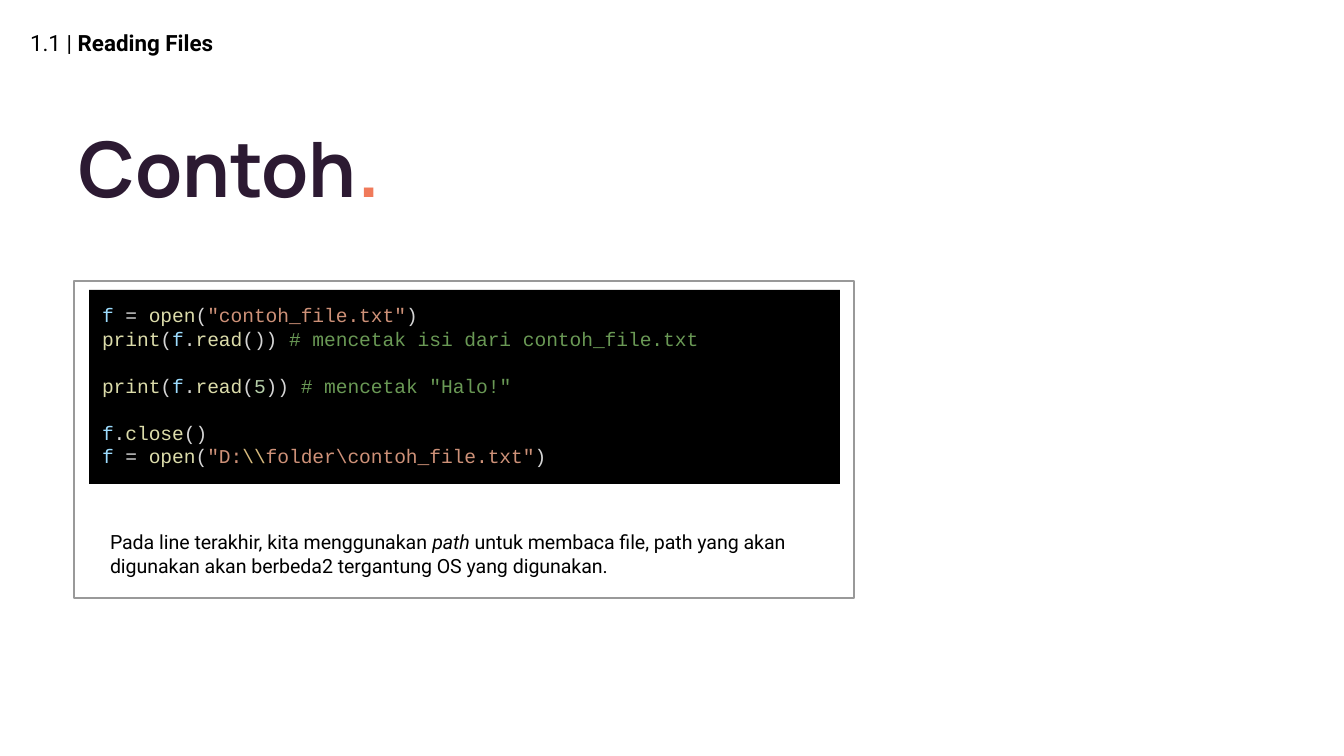
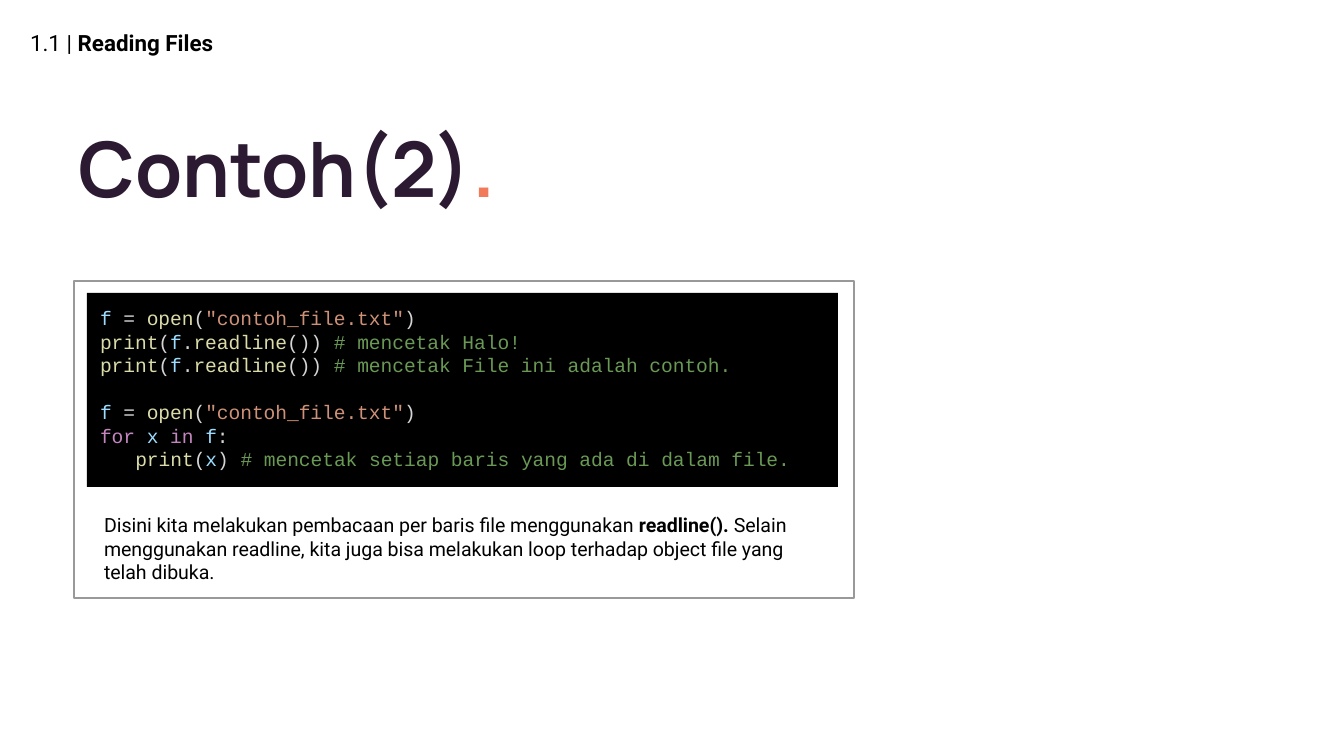
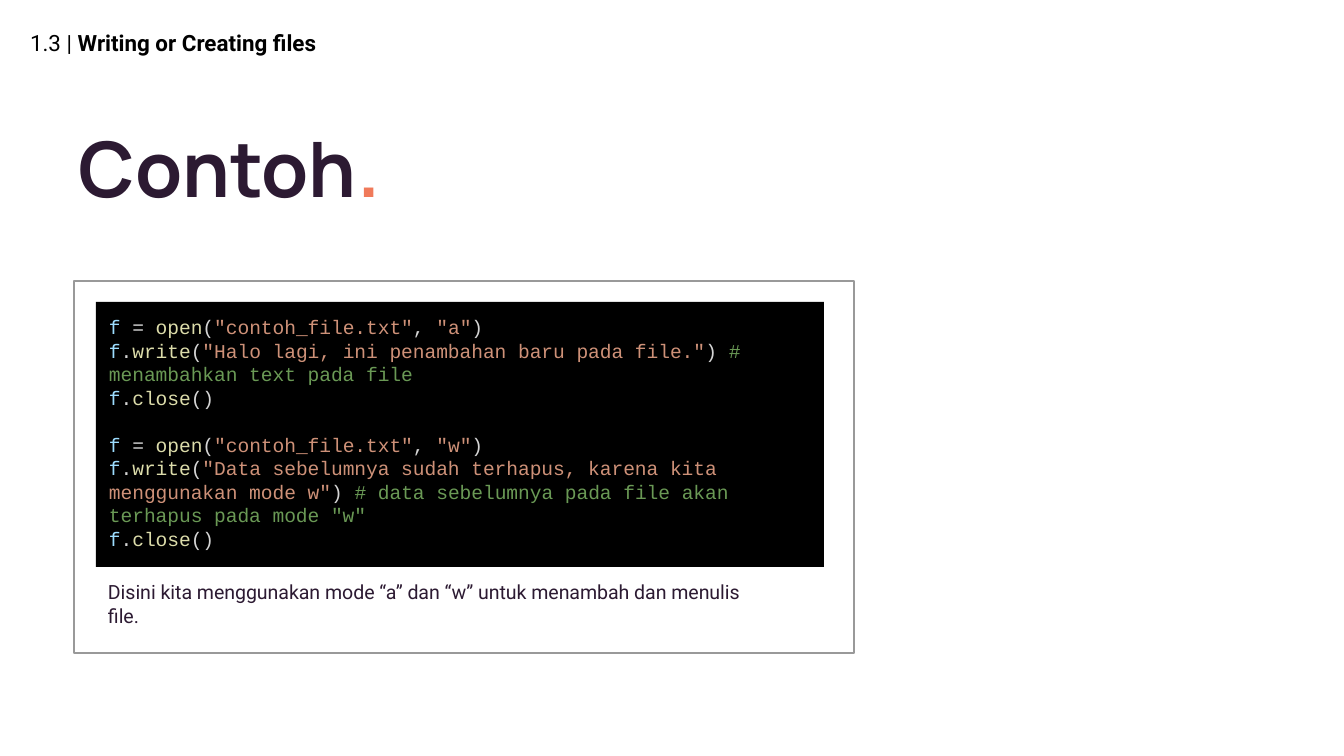
import pptx
import pptx.dml.color
import pptx.enum.shapes
import pptx.enum.text
import pptx.util

PX = 914400 / 134.4
COLOURS = {
    "page": "FFFFFF", "black": "000000", "ink": "2C1A32", "accent": "F07A5A",
    "border": "999999", "plain": "D4D4D4", "name": "9CDCFE", "call": "DCDCAA",
    "string": "CE9178", "escape": "D7BA7D", "comment": "6A9955",
    "number": "B5CEA8", "keyword": "C586C0",
}

# Shared places and text styles
HEADER_BOX = (17, 9, 613, 67)
TITLE_BOX = (66, 70, 1021, 211)
INSET = 13
LINE = pptx.util.Pt(12.6)
INDENT = pptx.util.Pt(18.9)
HEADER = {"name": "Roboto", "size": pptx.util.Pt(12), "bold": False}
TITLE = {"name": "Manrope", "size": pptx.util.Pt(41), "bold": True}
CODE = {"name": "Courier New", "size": pptx.util.Pt(10.5)}
CAPTION = {"name": "Roboto", "size": pptx.util.Pt(10.5)}

KEYWORDS = {"for", "in"}
NAMES = {"f", "x"}
CALLS = {"open", "print", "read", "readline", "write", "close"}

# In code, "|" parts the coloured tokens
SLIDES = [
    {
        "header": ("1.1 |", " Reading Files"),
        "title": "Contoh",
        "card": (74, 281, 780, 317),
        "code_box": (15, 9, 751, 194),
        "code": r'''
f| = |open|(|"contoh_file.txt"|)
print|(|f|.|read|()) |# mencetak isi dari contoh_file.txt

print|(|f|.|read|(|5|)) |# mencetak "Halo!"

f|.|close|()
f| = |open|(|"D:|\\|folder\contoh_file.txt"|)
''',
        "caption_box": (23, 236, 742, 75),
        "caption_colour": "black",
        "caption": [
            ("Pada line terakhir, kita menggunakan ", {}),
            ("path", {"italic": True}),
            (" untuk membaca file, path yang akan digunakan akan berbeda2 "
             "tergantung OS yang digunakan.", {}),
        ],
    },
    {
        "header": ("1.1 |", " Reading Files"),
        "title": "Contoh(2)",
        "card": (74, 281, 780, 317),
        "code_box": (13, 12, 751, 194),
        "code": r'''
f| = |open|(|"contoh_file.txt"|)
print|(|f|.|readline|()) |# mencetak Halo!
print|(|f|.|readline|()) |# mencetak File ini adalah contoh.

f| = |open|(|"contoh_file.txt"|)
for| |x| |in| |f|:
   print|(|x|) |# mencetak setiap baris yang ada di dalam file.
''',
        "caption_box": (17, 219, 742, 98),
        "caption_colour": "black",
        "caption": [
            ("Disini kita melakukan pembacaan per baris file menggunakan ", {}),
            ("readline(). ", {"bold": True}),
            ("Selain menggunakan readline, kita juga bisa melakukan loop "
             "terhadap object file yang telah dibuka.", {}),
        ],
    },
    {
        "header": ("1.3 |", " Writing or Creating files"),
        "title": "Contoh",
        "card": (74, 281, 780, 372),
        "code_box": (22, 21, 728, 265),
        "code": r'''
f| = |open|(|"contoh_file.txt"|, |"a"|)
f|.|write|(|"Halo lagi, ini penambahan baru pada file."|) |# menambahkan text pada file
f|.|close|()

f| = |open|(|"contoh_file.txt"|, |"w"|)
f|.|write|(|"Data sebelumnya sudah terhapus, karena kita menggunakan mode w"|) |# data sebelumnya pada file akan terhapus pada mode "w"
f|.|close|()
''',
        "caption_box": (21, 286, 671, 75),
        "caption_colour": "ink",
        "caption": [
            ("Disini kita menggunakan mode “a” dan “w” untuk menambah dan "
             "menulis file.", {}),
        ],
    },
]


def emu(lengths):
    return [round(length * PX) for length in lengths]


def colour(name):
    return pptx.dml.color.RGBColor.from_string(COLOURS[name])


def inside(card, box):
    return (card[0] + box[0], card[1] + box[1], box[2], box[3])


def add_span(para, text, style, colour_name):
    span = para.add_run()
    span.text = text
    for key, value in style.items():
        setattr(span.font, key, value)
    span.font.color.rgb = colour(colour_name)


def set_frame(frame, anchor):
    values = {"word_wrap": True, "vertical_anchor": anchor,
              "auto_size": pptx.enum.text.MSO_AUTO_SIZE.NONE}
    for side in ("left", "top", "right", "bottom"):
        values["margin_" + side] = round(INSET * PX)
    for key, value in values.items():
        setattr(frame, key, value)
    para = frame.paragraphs[0]
    para.alignment = pptx.enum.text.PP_ALIGN.LEFT
    return para


def add_rectangle(page, box, fill=None, line=None):
    shape = page.shapes.add_shape(
        pptx.enum.shapes.MSO_SHAPE.RECTANGLE, *emu(box))
    shape.shadow.inherit = False
    if fill:
        shape.fill.solid()
        shape.fill.fore_color.rgb = colour(fill)
    else:
        shape.fill.background()
    if line:
        shape.line.color.rgb = colour(line)
        shape.line.width = pptx.util.Pt(0.75)
    else:
        shape.line.fill.background()
    return shape


def add_header(page, box, number, topic):
    frame = page.shapes.add_textbox(*emu(box)).text_frame
    para = set_frame(frame, pptx.enum.text.MSO_ANCHOR.MIDDLE)
    add_span(para, number, HEADER, "black")
    add_span(para, topic, {**HEADER, "bold": True}, "black")


def add_title(page, box, text):
    title = page.shapes.title
    title.left, title.top, title.width, title.height = emu(box)
    para = set_frame(title.text_frame, pptx.enum.text.MSO_ANCHOR.MIDDLE)
    para.line_spacing = 0.8
    add_span(para, text, TITLE, "ink")
    add_span(para, ".", TITLE, "accent")


def token_kind(token):
    if token.startswith("#"):
        return "comment"
    if token.startswith('"') or token.endswith('"'):
        return "string"
    if token.startswith("\\"):
        return "escape"
    if token.isdigit():
        return "number"
    for kind, words in (("keyword", KEYWORDS), ("name", NAMES), ("call", CALLS)):
        if token in words:
            return kind
    return "plain"


def add_code(page, box, code):
    frame = add_rectangle(page, box, fill="black").text_frame
    para = set_frame(frame, pptx.enum.text.MSO_ANCHOR.TOP)
    gap = 0
    for index, line in enumerate(code.strip().splitlines()):
        if not line:
            gap = LINE
            continue
        if index:
            para = frame.add_paragraph()
        para.alignment = pptx.enum.text.PP_ALIGN.LEFT
        para.line_spacing = LINE
        para.space_before = gap
        gap = 0
        if line.startswith(" "):
            properties = para._p.get_or_add_pPr()
            properties.set("marL", str(int(INDENT)))
            properties.set("indent", "0")
        for token in line.lstrip().split("|"):
            add_span(para, token, CODE, COLOURS and token_kind(token))


def add_caption(page, box, spans, colour_name):
    frame = page.shapes.add_textbox(*emu(box)).text_frame
    para = set_frame(frame, pptx.enum.text.MSO_ANCHOR.TOP)
    para.line_spacing = LINE
    for text, emphasis in spans:
        add_span(para, text, {**CAPTION, **emphasis}, colour_name)


def add_example(deck, content):
    page = deck.slides.add_slide(deck.slide_layouts[5])
    page.background.fill.solid()
    page.background.fill.fore_color.rgb = colour("page")
    add_header(page, HEADER_BOX, *content["header"])
    add_title(page, TITLE_BOX, content["title"])
    # Bordered card with the code and its explanation
    card = content["card"]
    add_rectangle(page, card, line="border")
    add_code(page, inside(card, content["code_box"]), content["code"])
    add_caption(page, inside(card, content["caption_box"]),
                content["caption"], content["caption_colour"])


def main():
    deck = pptx.Presentation()
    deck.slide_width, deck.slide_height = emu((1344, 756))
    for content in SLIDES:
        add_example(deck, content)
    deck.save("out.pptx")


if __name__ == "__main__":
    main()
